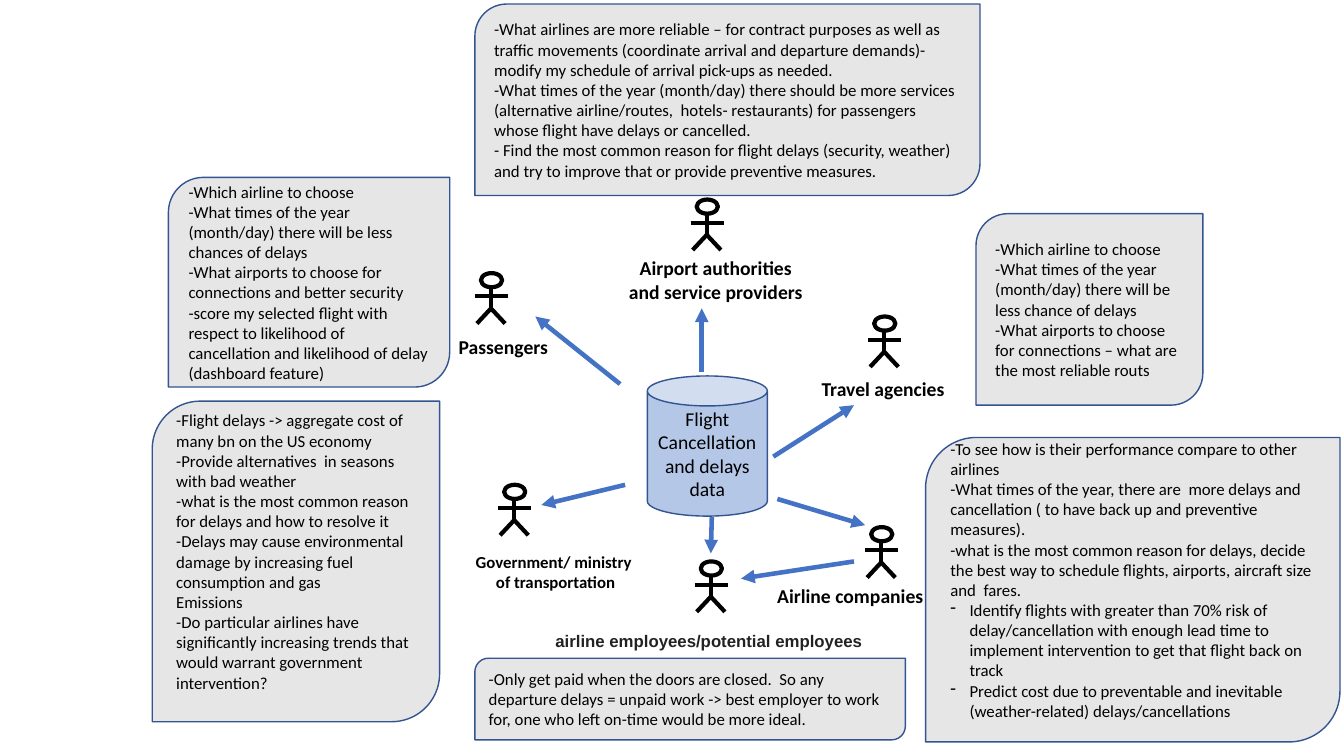
from lxml.etree import SubElement
from pptx import Presentation
from pptx.dml.color import RGBColor
from pptx.enum.shapes import MSO_CONNECTOR, MSO_SHAPE
from pptx.enum.text import MSO_ANCHOR, MSO_AUTO_SIZE, PP_ALIGN
from pptx.oxml.ns import qn
from pptx.util import Pt

PX = 9144  # 100 px to the inch
COLORS = {"ink": "000000", "arrow": "4472C4", "outline": "325491", "can": "B4C7E7",
          "callout": "E7E6E6", "employees": "222222"}


def px(*lengths):
    return [n * PX for n in lengths]


def rgb(name):
    return RGBColor.from_string(COLORS[name])


def format_runs(tf, size, color="ink", bold=False, font="Calibri"):
    for p in tf.paragraphs:
        for r in p.runs:
            r.font.name, r.font.size, r.font.bold = font, Pt(size), bold
            r.font.color.rgb = rgb(color)


def add_line(shapes, start, end, color, width, arrow=False):
    c = shapes.add_connector(MSO_CONNECTOR.STRAIGHT, *px(*start, *end))
    c.line.color.rgb = rgb(color)
    c.line.width = Pt(width)
    if arrow:
        SubElement(c.line._get_or_add_ln(), qn("a:tailEnd"), type="triangle")
    SubElement(c._element.spPr, qn("a:effectLst"))


def add_block(s, kind, box, fill, text, align):
    sp = s.shapes.add_shape(kind, *px(*box))
    sp.shadow.inherit = False
    sp.fill.solid()
    sp.fill.fore_color.rgb = rgb(fill)
    sp.line.color.rgb = rgb("outline")
    sp.line.width = Pt(1)
    tf = sp.text_frame
    tf.word_wrap = True
    tf.vertical_anchor = MSO_ANCHOR.MIDDLE
    tf.text = text
    for p in tf.paragraphs:
        p.alignment = align
    return tf


def add_callout(s, box, lines, lift=0, bullets=0):
    """Rounded note; lift raises the text, bullets counts the bulleted last lines."""
    tf = add_block(s, MSO_SHAPE.ROUND_2_DIAG_RECTANGLE, box, "callout",
                   "\n".join(lines), PP_ALIGN.LEFT)
    tf.margin_bottom = (5 + 2 * lift) * PX
    format_runs(tf, 12)
    for p in tf.paragraphs[len(lines) - bullets:]:
        pPr = p._p.get_or_add_pPr()
        pPr.set("marL", str(19 * PX))
        pPr.set("indent", str(-19 * PX))
        SubElement(pPr, qn("a:buChar"), char="-")


def add_person(s, x, y):
    """Stick figure in a 33 by 50 box."""
    group = s.shapes.add_group_shape().shapes
    head = group.add_shape(MSO_SHAPE.OVAL, *px(x + 6, y, 21, 14))
    head.shadow.inherit = False
    head.fill.background()
    head.line.color.rgb = rgb("ink")
    head.line.width = Pt(3)
    neck, hip = (x + 16, y + 14), (x + 16, y + 35)
    limbs = [(neck, hip), (hip, (x + 2, y + 50)), (hip, (x + 30, y + 50)),
             ((x, y + 23), (x + 33, y + 23))]
    for start, end in limbs:
        add_line(group, start, end, "ink", 3)


def add_label(s, box, text, size=14, color="ink", font="Calibri"):
    tf = s.shapes.add_textbox(*px(*box)).text_frame
    tf.word_wrap = False
    tf.auto_size = MSO_AUTO_SIZE.SHAPE_TO_FIT_TEXT
    tf.text = text
    if "\n" in text or "\v" in text:
        tf.paragraphs[-1].alignment = PP_ALIGN.CENTER
    format_runs(tf, size, color, True, font)


def add_data_store(s, box):
    tf = add_block(s, MSO_SHAPE.CAN, box, "can",
                   "Flight Cancellation and delays data", PP_ALIGN.CENTER)
    format_runs(tf, 14)


# Stakeholders: figure origin, label box, label text, label style
PEOPLE = [
    ((471, 271), (445, 327, 110, 34), "Passengers", {}),
    ((685, 198), (613, 249, 194, 57), "Airport authorities\vand service providers", {}),
    ((861, 314), (805, 369, 143, 34), "Travel agencies", {}),
    ((858, 523), (761, 574, 166, 34), "Airline companies", {}),
    ((494, 481), (462, 542, 176, 50), "Government/ ministry\n of transportation",
     {"size": 12}),
    ((689, 557), (541, 621, 328, 30), "airline employees/potential employees",
     {"size": 12, "color": "employees", "font": "Arial"}),
]

ARROWS = [((615, 381), (531, 314)), ((696, 369), (696, 306)), ((767, 453), (847, 402)),
          ((771, 495), (858, 521)), ((620, 481), (537, 501)), ((706, 513), (705, 549)),
          ((847, 557), (735, 574))]

# Callouts: box, lines, options
CALLOUTS = [
    ((167, 176, 279, 208), [
        "-Which airline to choose",
        "-What times of the year (month/day) there will be less chances of delays",
        "-What airports to choose for connections and better security",
        "-score my selected flight with respect to likelihood of cancellation and "
        "likelihood of delay (dashboard feature)"], {}),
    ((471, 4, 501, 190), [
        "-What airlines are more reliable – for contract purposes as well as traffic "
        "movements (coordinate arrival and departure demands)- modify my schedule of "
        "arrival pick-ups as needed.",
        "-What times of the year (month/day) there should be more services (alternative "
        "airline/routes,  hotels- restaurants) for passengers whose flight have delays "
        "or cancelled.",
        "- Find the most common reason for flight delays (security, weather) and try to "
        "improve that or provide preventive measures."], {}),
    ((968, 212, 225, 190), [
        "-Which airline to choose",
        "-What times of the year (month/day) there will be less chance of delays",
        "-What airports to choose for connections – what are the most reliable routs"],
     {}),
    ((918, 434, 411, 302), [
        "-To see how is their performance compare to other airlines",
        "-What times of the year, there are  more delays and cancellation ( to have back "
        "up and preventive measures).",
        "-what is the most common reason for delays, decide the best way to schedule "
        "flights, airports, aircraft size and  fares.",
        "Identify flights with greater than 70% risk of delay/cancellation with enough "
        "lead time to implement intervention to get that flight back on track",
        "Predict cost due to preventable and inevitable (weather-related) "
        "delays/cancellations"], {"lift": 10, "bullets": 2}),
    ((151, 398, 285, 318), [
        "-Flight delays -> aggregate cost of many bn on the US economy",
        "-Provide alternatives  in seasons with bad weather",
        "-what is the most common reason for delays and how to resolve it",
        "-Delays may cause environmental damage by increasing fuel consumption and gas",
        "Emissions",
        "-Do particular airlines have significantly increasing trends that would warrant "
        "government intervention?"], {"lift": 10}),
    ((471, 653, 427, 81), [
        "-Only get paid when the doors are closed.  So any departure delays = unpaid "
        "work -> best employer to work for, one who left on-time would be more ideal."],
     {}),
]


def build_stakeholder_map(s):
    # Central data store and arrows
    add_data_store(s, (642, 373, 119, 139))
    for start, end in ARROWS:
        add_line(s.shapes, start, end, "arrow", 3.25, arrow=True)
    # Stakeholders with their names
    for origin, box, text, style in PEOPLE:
        add_person(s, *origin)
        add_label(s, box, text, **style)
    # Questions of each stakeholder
    for box, lines, options in CALLOUTS:
        add_callout(s, box, lines, **options)


def main():
    prs = Presentation()
    prs.slide_width, prs.slide_height = px(1333, 750)
    build_stakeholder_map(prs.slides.add_slide(prs.slide_layouts[6]))
    prs.save("out.pptx")


if __name__ == "__main__":
    main()
